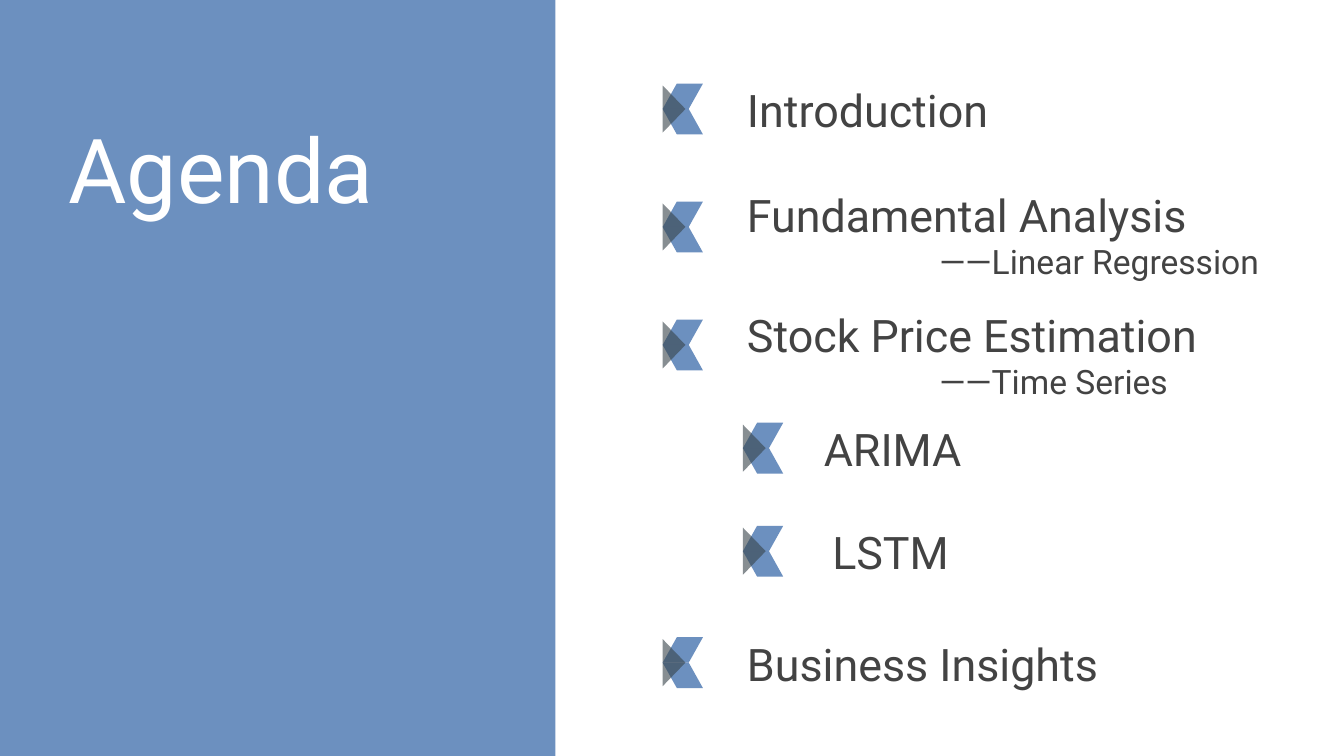
from dataclasses import dataclass

from lxml import etree
from pptx import Presentation
from pptx.dml.color import RGBColor
from pptx.enum.shapes import MSO_SHAPE
from pptx.enum.text import MSO_ANCHOR, MSO_AUTO_SIZE, PP_ALIGN
from pptx.oxml.ns import qn
from pptx.util import Pt

RECTANGLE = MSO_SHAPE.RECTANGLE
PARALLELOGRAM = MSO_SHAPE.PARALLELOGRAM
TRIANGLE = MSO_SHAPE.ISOSCELES_TRIANGLE
TOP, MIDDLE = MSO_ANCHOR.TOP, MSO_ANCHOR.MIDDLE
LEFT = PP_ALIGN.LEFT
NO_AUTOFIT = MSO_AUTO_SIZE.NONE


@dataclass(frozen=True)
class Theme:
    font: str = "Roboto"
    blue: str = "5E85B9"
    slate: str = "38444A"
    ink: str = "434343"
    white: str = "FFFFFF"
    blue_opacity: int = 91
    slate_opacity: int = 60
    title_size: int = 48
    topic_size: int = 24
    method_size: int = 18


THEME = Theme()
SLIDE_W, SLIDE_H = 720, 405
INSET = 7.2
METHOD_INDENT = 103
MARKER_W, MARKER_H = 21.6, 27.2
TOPIC_H = 36.7

# Topic, method, marker (left, top), text box (left, top, width)
AGENDA = [
    ("Introduction", None, (355, 44.8), (393.1, 40.5, 277)),
    ("Fundamental Analysis", "——Linear Regression", (355, 108), (393.1, 107.3, 333)),
    ("Stock Price Estimation", "——Time Series", (355, 171.2), (393.1, 171.5, 277)),
    ("ARIMA", None, (398, 226.5), (434.2, 221.8, 187)),
    ("LSTM", None, (398, 281.7), (438.8, 277.2, 98)),
    ("Business Insights", None, (355, 341.4), (393.1, 337, 277)),
]


def write(paragraph, text, *, size, color, indent=0):
    """Write one line of text with its format."""
    paragraph.alignment = LEFT
    if indent:
        paragraph._p.get_or_add_pPr().set("marL", str(Pt(indent)))
    run = paragraph.add_run()
    run.text = text
    run.font.name = THEME.font
    run.font.size = Pt(size)
    run.font.color.rgb = RGBColor.from_string(color)


def prepare_frame(frame, anchor):
    frame.word_wrap = True
    frame.auto_size = NO_AUTOFIT
    frame.vertical_anchor = anchor
    frame.margin_left = frame.margin_right = Pt(INSET)
    frame.margin_top = frame.margin_bottom = Pt(INSET)


def add_tinted(slide, preset, left, top, width, height, color, opacity):
    """Add a borderless, partly transparent shape."""
    shape = slide.shapes.add_shape(preset, Pt(left), Pt(top), Pt(width), Pt(height))
    shape.shadow.inherit = False
    shape.line.fill.background()
    shape.fill.solid()
    shape.fill.fore_color.rgb = RGBColor.from_string(color)
    color_node = shape._element.spPr.find(qn("a:solidFill"))[0]
    etree.SubElement(color_node, qn("a:alpha")).set("val", str(opacity * 1000))
    return shape


def add_title_panel(slide, left, top, width, height):
    panel = add_tinted(slide, RECTANGLE, left, top, width, height,
                       THEME.blue, THEME.blue_opacity)
    slide.shapes._spTree.insert(2, panel._element)  # behind the title

    title = slide.shapes.title
    title.left, title.top = Pt(left + 29.5), Pt(top + 54)
    title.width, title.height = Pt(282), Pt(139)
    prepare_frame(title.text_frame, TOP)
    write(title.text_frame.paragraphs[0], "Agenda",
          size=THEME.title_size, color=THEME.white)


def add_marker(slide, left, top):
    # Two mirrored slanted halves
    half = MARKER_H / 2
    for row in range(2):
        slanted = add_tinted(slide, PARALLELOGRAM, left, top + row * half,
                             MARKER_W, half, THEME.blue, THEME.blue_opacity)
        slanted.adjustments[0] = 0.56
        if row:
            slanted._element.spPr.xfrm.set("flipH", "1")

    # Triangle turned to point right, flush with the left edge
    base, depth = 25.2, 12.2
    pointer = add_tinted(slide, TRIANGLE, left + (depth - base) / 2,
                         top + (MARKER_H - depth) / 2, base, depth,
                         THEME.slate, THEME.slate_opacity)
    pointer.rotation = 90


def add_topic(slide, left, top, width, height, topic, method):
    frame = slide.shapes.add_textbox(Pt(left), Pt(top), Pt(width), Pt(height)).text_frame
    prepare_frame(frame, MIDDLE)
    write(frame.paragraphs[0], topic, size=THEME.topic_size, color=THEME.ink)
    if method:
        write(frame.add_paragraph(), method, size=THEME.method_size,
              color=THEME.ink, indent=METHOD_INDENT)


def main():
    deck = Presentation()
    deck.slide_width, deck.slide_height = Pt(SLIDE_W), Pt(SLIDE_H)
    slide = deck.slides.add_slide(deck.slide_layouts[5])

    add_title_panel(slide, 0, 0, 297.5, SLIDE_H)
    for topic, method, marker_at, (left, top, width) in AGENDA:
        add_marker(slide, *marker_at)
        add_topic(slide, left, top, width, TOPIC_H, topic, method)

    deck.save("out.pptx")


if __name__ == "__main__":
    main()
